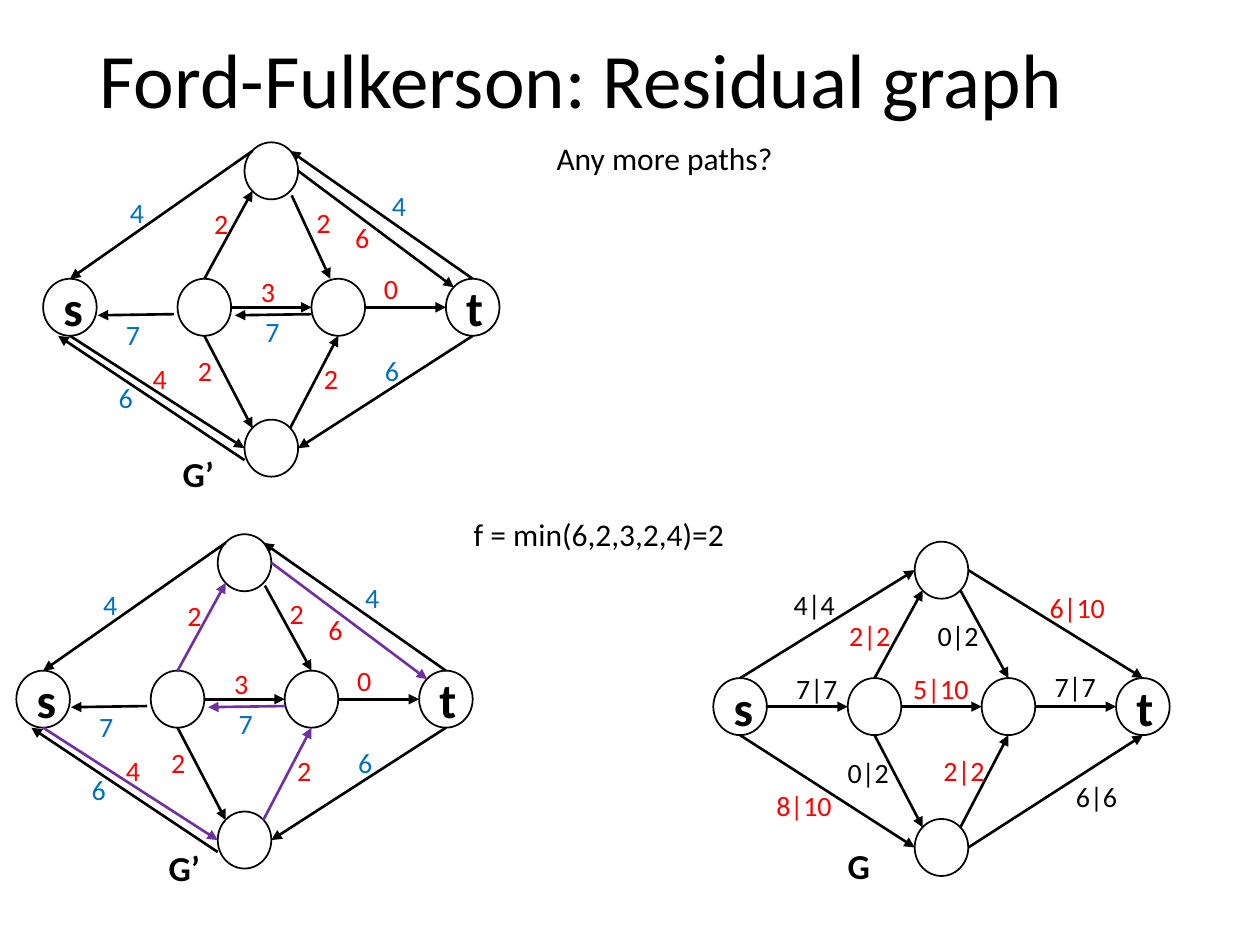
"""Build the Ford-Fulkerson residual graph slide."""
from lxml import etree
from pptx import Presentation
from pptx import util as u
from pptx.dml.color import RGBColor
from pptx.enum import shapes, text
from pptx.oxml import ns

BLACK = RGBColor(0x00, 0x00, 0x00)
WHITE = RGBColor(0xFF, 0xFF, 0xFF)
RED = RGBColor(0xFF, 0x00, 0x00)
BLUE = RGBColor(0x00, 0x70, 0xC0)
PURPLE = RGBColor(0x70, 0x30, 0xA0)
FONT = "Calibri"

NODE_W, NODE_H = 1.08, 1.15
NODES = {"s": (0, 2.75), "a": (2.71, 2.75), "b": (5.41, 2.75),
         "t": (8.12, 2.75), "top": (4.06, 0), "bottom": (4.06, 5.59)}
PORTS = {"N": (0.5, 0), "E": (1, 0.5), "S": (0.5, 1), "W": (0, 0.5),
         "NW": (0.15, 0.15), "NE": (0.85, 0.15),
         "SW": (0.15, 0.85), "SE": (0.85, 0.85)}

SHARED_EDGES = {
    ("a", "b"): ("E", "W"), ("b", "t"): ("E", "W"),
    ("a", "top"): ("N", "SW"), ("s", "bottom"): ("S", "W"),
    ("a", "bottom"): ("S", "NW"), ("bottom", "b"): ("NE", "S"),
}
RESIDUAL_EDGES = SHARED_EDGES | {
    ("top", "t"): ("E", "NW"), ("t", "bottom"): ("S", "E"),
    ("top", "s"): ("NW", "N"), ("t", "top"): ("N", "NE"),
    ("top", "b"): ((0.88, 0.9), "N"),
    ("bottom", "s"): ((0, 0.71), (0.28, 1)),
    ("b", "a"): ((0, 0.62), (1.07, 0.64)),
    ("a", "s"): ((-0.07, 0.62), (1.02, 0.64)),
}
FIRST_EDGES = RESIDUAL_EDGES | {("top", "b"): ((0.88, 0.93), (0.35, 0))}
FLOW_EDGES = SHARED_EDGES | {
    ("s", "a"): ("E", "W"), ("s", "top"): ("N", "W"),
    ("top", "b"): ("SE", "N"), ("top", "t"): ("E", "N"),
    ("bottom", "t"): ("E", "S"),
}
AUGMENTING_PATH = {("s", "bottom"), ("bottom", "b"), ("b", "a"),
                   ("a", "top"), ("top", "t")}

RESIDUAL_LABELS = [
    ("4", 1.50, 0.94, BLUE), ("6", 1.27, 4.67, BLUE), ("4", 6.78, 0.81, BLUE),
    ("3", 4.14, 2.54, RED), ("0", 6.62, 2.48, RED), ("2", 2.87, 4.14, RED),
    ("6", 6.04, 1.45, RED), ("7", 1.42, 3.40, BLUE), ("2", 3.20, 1.17, RED),
    ("4", 1.96, 4.29, RED), ("2", 5.41, 4.29, RED), ("6", 6.64, 4.14, BLUE),
    ("7", 4.23, 3.35, BLUE), ("2", 5.26, 1.14, RED),
]
FLOW_LABELS = [
    ("4|4", 1.37, 0.79, BLACK), ("7|7", 1.42, 2.49, BLACK),
    ("8|10", 1.02, 4.85, RED), ("6|10", 6.53, 0.86, RED),
    ("0|2", 4.27, 1.42, BLACK), ("2|2", 2.49, 1.42, RED),
    ("5|10", 3.78, 2.49, RED), ("7|7", 6.63, 2.46, BLACK),
    ("0|2", 2.46, 4.19, BLACK), ("2|2", 4.39, 4.14, RED),
    ("6|6", 7.06, 4.67, BLACK),
]
LABEL_WIDTHS = {1: 0.82, 3: 1.36, 4: 1.65}

GRAPHS = [
    dict(origin=(0.87, 2.87), edges=FIRST_EDGES, path=set(),
         labels=RESIDUAL_LABELS, name=("G’", 2.56, 6.12, 1.14)),
    dict(origin=(0.33, 10.77), edges=RESIDUAL_EDGES, path=AUGMENTING_PATH,
         labels=RESIDUAL_LABELS, name=("G’", 2.82, 6.17, 1.14)),
    dict(origin=(14.38, 10.92), edges=FLOW_EDGES, path=set(),
         labels=FLOW_LABELS, name=("G", 2.46, 5.97, 0.97)),
]
NOTES = [("Any more paths?", 10.97, 2.67, 4.93),
         ("f = min(6,2,3,2,4)=2", 9.30, 10.26, 5.61)]


def write(frame, words, size, color=BLACK, bold=False, align=text.PP_ALIGN.LEFT):
    para = frame.paragraphs[0]
    para.alignment = align
    span = para.add_run()
    span.text = words
    span.font.name = FONT
    span.font.size = u.Pt(size)
    span.font.bold = bold
    span.font.color.rgb = color
    return para


def add_label(page, words, x, y, width, height, size, color=BLACK, bold=False):
    box = page.shapes.add_textbox(*map(u.Cm, (x, y, width, height)))
    box.text_frame.word_wrap = False
    write(box.text_frame, words, size, color, bold)


def add_node(page, key, origin):
    x, y = NODES[key]
    node = page.shapes.add_shape(
        shapes.MSO_SHAPE.OVAL, u.Cm(origin[0] + x), u.Cm(origin[1] + y),
        u.Cm(NODE_W), u.Cm(NODE_H))
    node.shadow.inherit = False
    node.fill.solid()
    node.fill.fore_color.rgb = WHITE
    node.line.color.rgb = BLACK
    node.line.width = u.Pt(1)
    if key in ("s", "t"):
        node.text_frame.vertical_anchor = text.MSO_ANCHOR.MIDDLE
        write(node.text_frame, key, 28, bold=True, align=text.PP_ALIGN.CENTER)


def port_point(key, port, origin):
    across, down = PORTS.get(port, port)
    x, y = NODES[key]
    return (u.Cm(origin[0] + x + across * NODE_W),
            u.Cm(origin[1] + y + down * NODE_H))


def add_edge(page, start, end, color):
    edge = page.shapes.add_connector(shapes.MSO_CONNECTOR.STRAIGHT, *start, *end)
    edge.line.color.rgb = color
    edge.line.width = u.Pt(1.5)
    etree.SubElement(edge.line._get_or_add_ln(), ns.qn("a:tailEnd"), type="triangle")
    etree.SubElement(edge._element.spPr, ns.qn("a:effectLst"))


def add_graph(page, origin, edges, path, labels, name):
    for key in NODES:
        add_node(page, key, origin)
    for ends, ports in edges.items():
        start, end = (port_point(k, p, origin) for k, p in zip(ends, ports))
        add_edge(page, start, end, PURPLE if ends in path else BLACK)
    for words, x, y, color in labels:
        add_label(page, words, origin[0] + x, origin[1] + y,
                  LABEL_WIDTHS[len(words)], 0.94, 16, color)
    words, x, y, width = name
    add_label(page, words, origin[0] + x, origin[1] + y, width, 1.11, 20, bold=True)


deck = Presentation()
deck.slide_width, deck.slide_height = u.Cm(25.4), u.Cm(19.05)
page = deck.slides.add_slide(deck.slide_layouts[5])

title = page.shapes.title
title.left, title.top, title.width, title.height = map(u.Cm, (1.75, -0.15, 21.9, 3.68))
title.text_frame.vertical_anchor = text.MSO_ANCHOR.MIDDLE
title.text_frame.auto_size = text.MSO_AUTO_SIZE.NONE
write(title.text_frame, "Ford-Fulkerson: Residual graph", 44).line_spacing = 0.9

for words, x, y, width in NOTES:
    add_label(page, words, x, y, width, 1.02, 18)
for graph in GRAPHS:
    add_graph(page, **graph)

deck.save("out.pptx")
